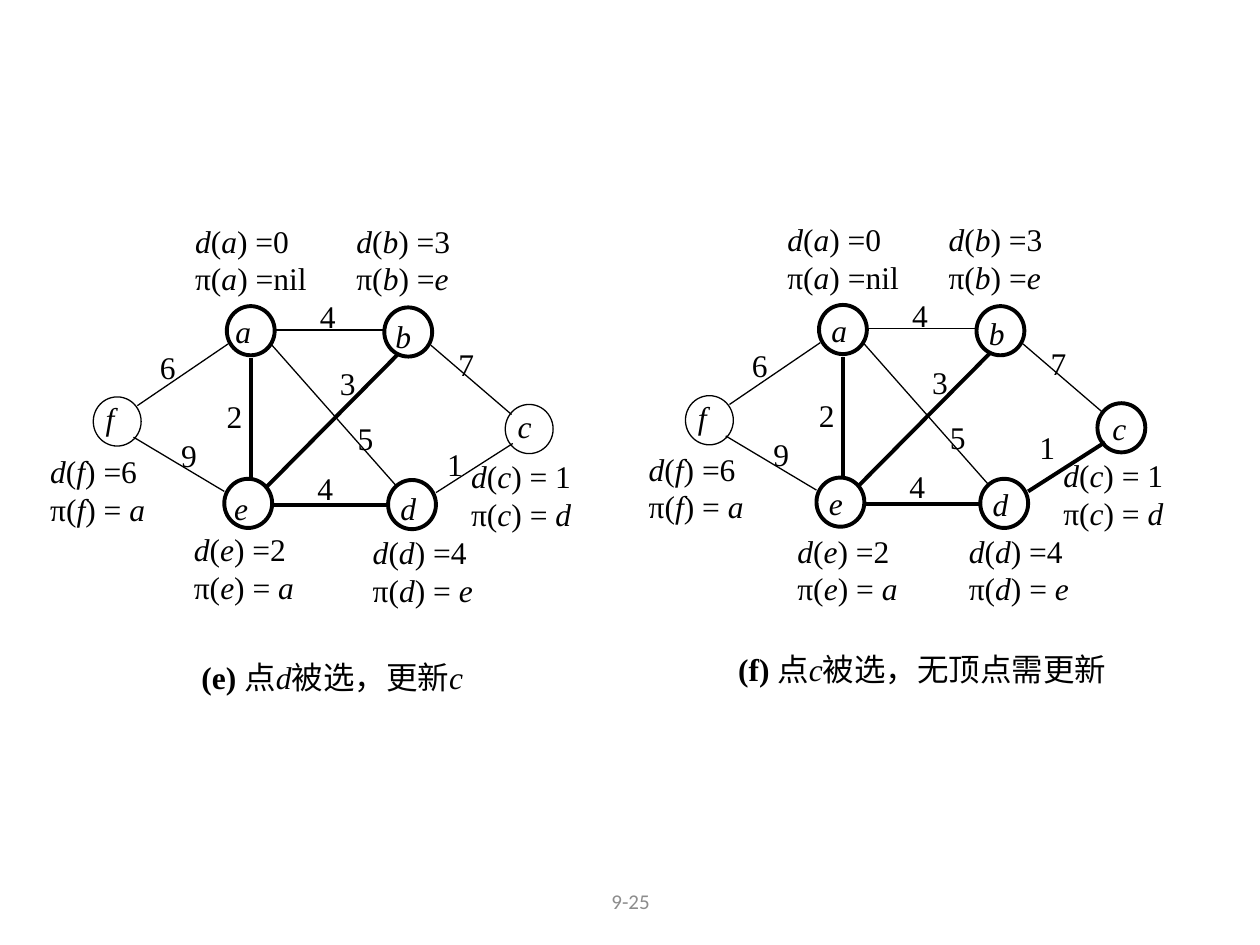
from lxml import etree
from pptx import Presentation
from pptx.dml.color import RGBColor
from pptx.enum.shapes import MSO_CONNECTOR, MSO_SHAPE
from pptx.enum.text import MSO_ANCHOR, PP_ALIGN
from pptx.oxml.ns import qn
from pptx.util import Inches, Pt

COLORS = {"ink": "000000", "paper": "FFFFFF", "footer": "8C8C8C"}
THIN, THICK = 0.75, 2.25
NODE_W, NODE_H = 0.38, 0.39

# Positions below are inches from the top left corner of a panel
NODES = {"a": (1.5, 0.72), "e": (1.48, 2.09), "c": (3.71, 1.5),
         "b": (2.75, 0.73), "d": (2.78, 2.1), "f": (0.44, 1.44)}
# (edge, from, to, weight, place of the weight)
EDGES = [
    ("ab", (1.88, 0.91), (2.75, 0.91), "4", (2.14, 0.6)),
    ("ed", (1.86, 2.3), (2.78, 2.3), "4", (2.12, 1.96)),
    ("ae", (1.69, 1.13), (1.69, 2.1), "2", (1.4, 1.39)),
    ("bc", (3.12, 1.03), (3.76, 1.58), "7", (3.24, 0.98)),
    ("be", (2.86, 1.1), (1.82, 2.15), "3", (2.3, 1.13)),
    ("ad", (1.85, 1.02), (2.84, 2.14), "5", (2.44, 1.57)),
    ("cd", (3.77, 1.81), (3.16, 2.2), "1", (3.15, 1.77)),
    ("fa", (0.79, 1.51), (1.51, 1.02), "6", (0.87, 1.0)),
    ("fe", (0.76, 1.76), (1.48, 2.19), "9", (1.04, 1.7)),
]
# Distance and parent of each vertex, and place of the note
NOTES = {"a": ("=0", "=nil", (1.15, 0)), "b": ("=3", "=*e*", (2.43, 0)),
         "c": ("= 1", "= *d*", (3.34, 1.87)), "d": ("=4", "= *e*", (2.56, 2.47)),
         "e": ("=2", "= *a*", (1.14, 2.45)), "f": ("=6", "= *a*", (0, 1.83))}

PANELS = [
    {"box": (0.3, 1.71, 4.44, 3.94), "thick_nodes": "abde",
     "thick_edges": ("ae", "be", "ed"),
     "label_shift": {"a": (-0.03, 0), "e": (-0.02, 0.03), "c": (0, -0.03),
                     "b": (-0.01, 0.03), "d": (0, 0.02), "f": (0, -0.03)},
     "moved": {},
     "caption": ("(e) ", "点*d*被选，更新*c*", (1.2, 3.46, 2.48, 0.48))},
    {"box": (5, 1.7, 4.44, 3.93), "thick_nodes": "abcde",
     "thick_edges": ("ae", "be", "ed", "cd"),
     "label_shift": {"c": (0.02, 0), "b": (0, 0.01), "f": (0, -0.03)},
     "moved": {"cd": (3.15, 1.65), "d": (2.59, 2.47),
               "e": (1.23, 2.47), "f": (0.05, 1.82)},
     "caption": ("(f) ", "点*c*被选，无顶点需更新", (0.76, 3.41, 3.22, 0.52))},
]


def rgb(name):
    return RGBColor.from_string(COLORS[name])


def add_run(p, text, color="ink", **formats):
    r = p.add_run()
    r.text = text
    r.font.color.rgb = rgb(color)
    for key, value in {"size": Pt(18), "name": "Times New Roman", **formats}.items():
        setattr(r.font, key, value)


def add_text(s, x, y, w, h, lines, lead=""):
    """Text box in which *stars* mark italics and lead is bold."""
    tf = s.shapes.add_textbox(*map(Inches, (x, y, w, h))).text_frame
    tf.word_wrap = True
    for i, line in enumerate(lines):
        p = tf.add_paragraph() if i else tf.paragraphs[0]
        if lead and not i:
            add_run(p, lead, bold=True)
        for j, part in enumerate(line.split("*")):
            if part:
                add_run(p, part, italic=j % 2 == 1)


def add_node(s, x, y, name, width, shift):
    sp = s.shapes.add_shape(MSO_SHAPE.OVAL, *map(Inches, (x, y, NODE_W, NODE_H)))
    sp.shadow.inherit = False
    sp.fill.solid()
    sp.fill.fore_color.rgb = rgb("paper")
    sp.line.color.rgb = rgb("ink")
    sp.line.width = Pt(width)
    add_text(s, x + shift[0], y + shift[1], 0.5, 0.45, [f"*{name}*"])


def add_edge(s, start, end, width):
    line = s.shapes.add_connector(MSO_CONNECTOR.STRAIGHT, *map(Inches, start + end))
    line.line.color.rgb = rgb("ink")
    line.line.width = Pt(width)
    etree.SubElement(line._element.spPr, qn("a:effectLst"))


def add_panel(s, box, thick_nodes, thick_edges, label_shift, moved, caption):
    left, top = box[:2]

    def at(point):
        return left + point[0], top + point[1]

    # Vertices
    for name, point in NODES.items():
        add_node(s, *at(point), name, THICK if name in thick_nodes else THIN,
                 label_shift.get(name, (0, 0)))
    # Edges and weights
    for name, start, end, weight, point in EDGES:
        add_edge(s, at(start), at(end), THICK if name in thick_edges else THIN)
        add_text(s, *at(moved.get(name, point)), 0.5, 0.45, [weight])
    # Distance and parent notes
    for name, (dist, parent, point) in NOTES.items():
        add_text(s, *at(moved.get(name, point)), 1.15, 0.73,
                 [f"*d*(*{name}*) {dist}", f"π(*{name}*) {parent}"])
    # Caption
    lead, text, (x, y, w, h) = caption
    add_text(s, *at((x, y)), w, h, [text], lead)


def add_page_number(s, box, text):
    tf = s.shapes.add_textbox(*map(Inches, box)).text_frame
    tf.word_wrap = True
    tf.vertical_anchor = MSO_ANCHOR.MIDDLE
    p = tf.paragraphs[0]
    p.alignment = PP_ALIGN.CENTER
    add_run(p, text, "footer", size=Pt(12), name="Calibri")


def main():
    prs = Presentation()
    prs.slide_width, prs.slide_height = Inches(10), Inches(7.5)
    s = prs.slides.add_slide(prs.slide_layouts[6])
    add_page_number(s, (3.42, 6.95, 3.17, 0.4), "9-25")
    for panel in PANELS:
        add_panel(s, **panel)
    prs.save("out.pptx")


if __name__ == "__main__":
    main()
